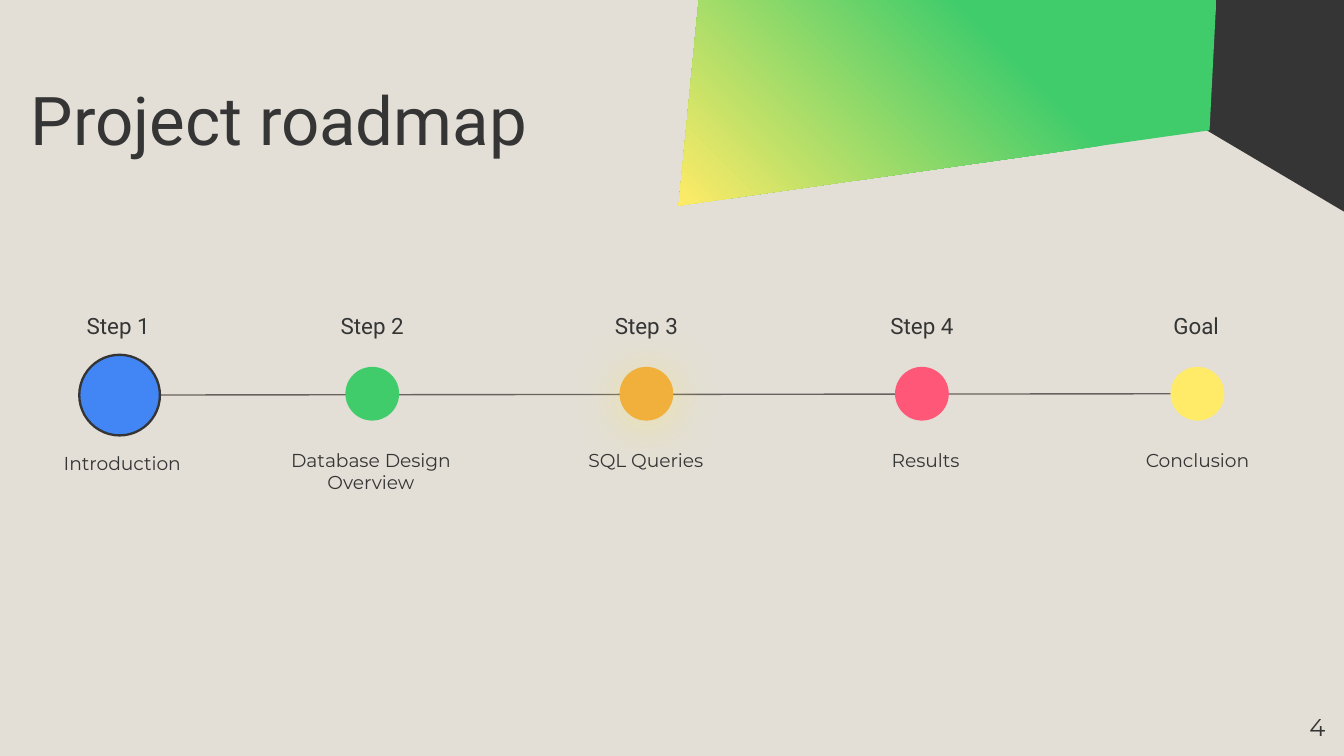
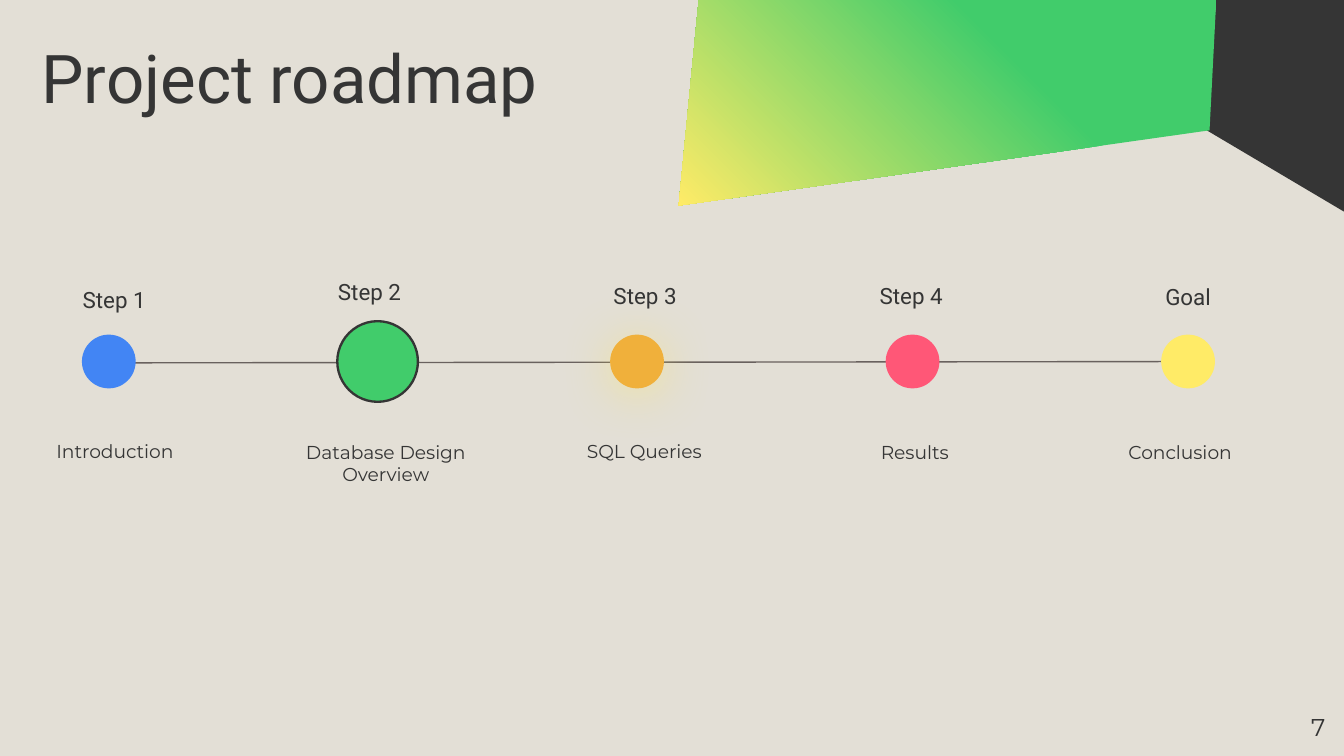
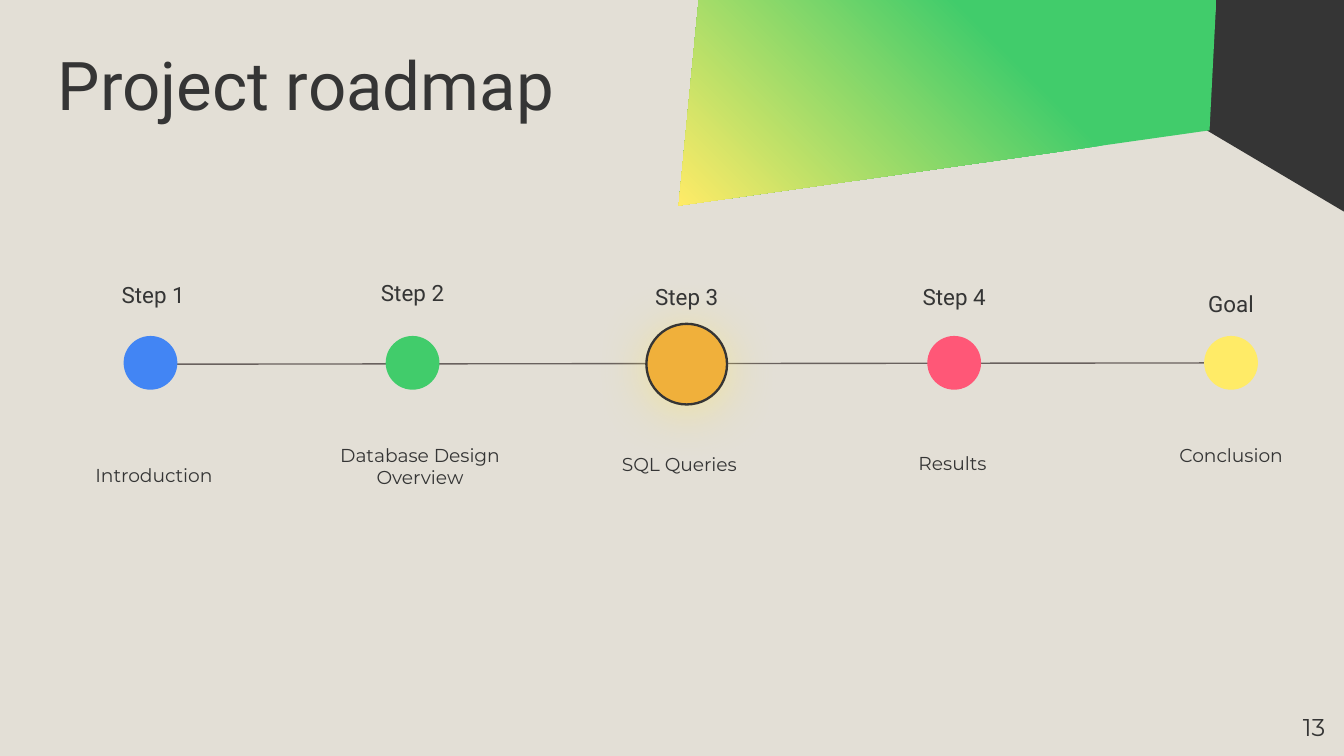
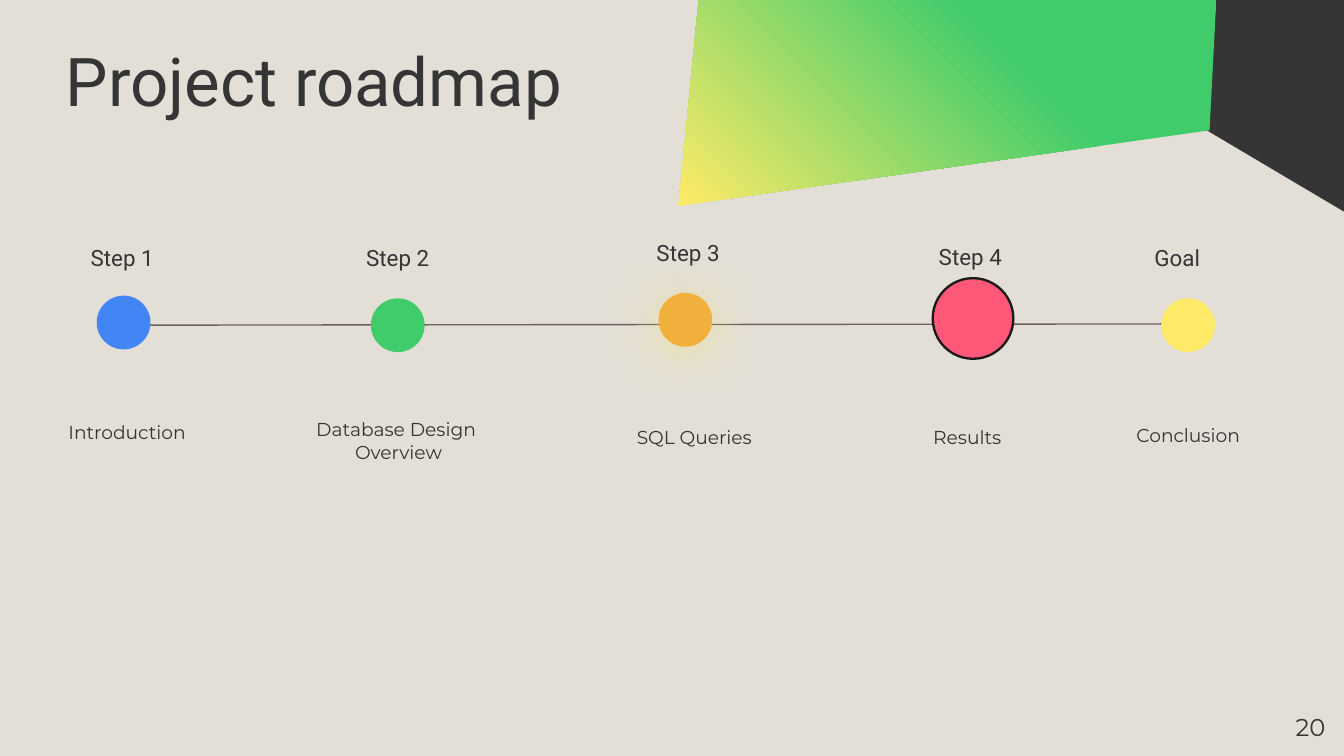
import copy
import dataclasses

import pptx
import pptx.dml.color
import pptx.enum.shapes
import pptx.enum.text
import pptx.oxml
import pptx.oxml.ns
import pptx.util

RGBColor = pptx.dml.color.RGBColor
ALIGN = pptx.enum.text.PP_ALIGN
ANCHOR = pptx.enum.text.MSO_ANCHOR
FIT = pptx.enum.text.MSO_AUTO_SIZE

SAND = RGBColor(0xE3, 0xDF, 0xD6)
CHARCOAL = RGBColor(0x35, 0x35, 0x35)
BLACK = RGBColor(0x1A, 0x1A, 0x1A)
TAUPE = RGBColor(0x69, 0x61, 0x5E)
BLUE = RGBColor(0x42, 0x85, 0xF4)
GREEN = RGBColor(0x41, 0xCC, 0x6B)
AMBER = RGBColor(0xF0, 0xB0, 0x3B)
PINK = RGBColor(0xFF, 0x57, 0x77)
YELLOW = RGBColor(0xFF, 0xEB, 0x67)

HEADING_FONT = "Roboto"
BODY_FONT = "Montserrat"

SLIDE_WIDTH = pptx.util.Inches(10)
SLIDE_HEIGHT = SLIDE_WIDTH * 9 // 16
COLUMNS = 100
CELL = SLIDE_WIDTH // COLUMNS
TENTH = CELL // 10
INSET = pptx.util.Inches(0.1)

DOT = 4
ACTIVE_DOT = 6
LABEL_SIZE = (9, 4)
TITLE_SIZE = (63.7, 7.5)
NUMBER_BOX = (93.6, 51.9, 6, 4.3)

STEPS = [
    ("Step 1", BLUE, 1.15),
    ("Step 2", GREEN, 1),
    ("Step 3", AMBER, 1),
    ("Step 4", PINK, 1),
    ("Goal", YELLOW, 1),
]
GLOWING = "Step 3"


@dataclasses.dataclass
class Roadmap:
    number: str
    title: tuple
    line: tuple
    active: str
    dots: list
    labels: list
    captions: list
    outline: RGBColor = CHARCOAL
    design: str = "Database Design Overview"

    def topics(self):
        return ["Introduction", self.design, "SQL Queries", "Results ", "Conclusion"]


ROADMAPS = [
    Roadmap(
        "4", (1.3, 5.5), (5.9, 29.4, 87.1, 29.3), "Step 1",
        [(5.9, 26.4), (25.7, 27.3), (46.1, 27.3), (66.6, 27.3), (87.1, 27.3)],
        [(4.3, 22.2), (23.2, 22.2), (43.6, 22.2), (64.1, 22.2), (84.5, 22.2)],
        [(1.6, 32.4, 15, 11.6), (20.1, 32.4, 15, 11.6), (39.4, 32.4, 17.3, 11.6),
         (60.9, 32.4, 16.3, 11.6), (80.1, 32.4, 18, 15.7)],
    ),
    Roadmap(
        "7", (2.1, 2.4), (8, 27, 90.4, 26.9), "Step 2",
        [(6.1, 24.9), (25.1, 23.9), (45.4, 24.9), (65.9, 24.9), (86.4, 24.9)],
        [(4, 20.3), (23, 19.7), (43.5, 20), (63.3, 20), (83.9, 20.1)],
        [(-0.9, 31.5, 18.9, 10.4), (21.2, 31.8, 15, 11.6), (39.3, 31.7, 17.3, 11.6),
         (60.1, 31.8, 16.3, 11.6), (78.8, 31.8, 18, 13.8)],
    ),
    Roadmap(
        "13", (3.3, 2.9), (11.2, 27.1, 93.6, 27), "Step 3",
        [(9.2, 25), (28.7, 25), (48.1, 24.1), (69, 25), (89.6, 25)],
        [(6.9, 19.9), (26.2, 19.8), (46.6, 20.1), (66.5, 20.1), (87.1, 20.6)],
        [(2, 33.3, 18.9, 10.4), (23.1, 32, 16.3, 7.6), (41.9, 32.7, 17.3, 11.6),
         (62.9, 32.6, 16.3, 11.6), (82.6, 32, 18, 13.8)],
    ),
    Roadmap(
        "20", (3.9, 2.6), (8, 24.2, 90.4, 24.1), "Step 4",
        [(7.2, 22), (27.6, 22.2), (49, 21.8), (69.4, 20.7), (86.4, 22.2)],
        [(4.6, 17.2), (25.1, 17.2), (46.7, 16.8), (67.7, 17.1), (83.1, 17.2)],
        [(0, 30.1, 18.9, 10.4), (21.5, 30.1, 16.3, 11.3), (44.4, 30.7, 14.5, 8.7),
         (64, 30.7, 16.3, 11.6), (79.4, 30.5, 18, 13.8)],
        BLACK,
        "Database Design \nOverview",
    ),
]


def grid(*cells):
    return [pptx.util.Emu(round(cell * CELL)) for cell in cells]


def write(frame, text, size, font=HEADING_FONT, align=ALIGN.CENTER,
          anchor=ANCHOR.MIDDLE, spacing=None, fit=FIT.NONE):
    frame.word_wrap = True
    frame.auto_size = fit
    frame.vertical_anchor = anchor
    frame.margin_left = frame.margin_right = INSET
    frame.margin_top = frame.margin_bottom = INSET
    for index, line in enumerate(text.split("\n")):
        para = frame.add_paragraph() if index else frame.paragraphs[0]
        para.alignment = align
        para.line_spacing = spacing
        span = para.add_run()
        span.text = line
        span.font.size = pptx.util.Pt(size)
        span.font.name = font
        span.font.color.rgb = CHARCOAL


def add_text(page, box, text, size, **style):
    write(page.shapes.add_textbox(*grid(*box)).text_frame, text, size, **style)


def add_polygon(page, layout, corners):
    builder = page.shapes.build_freeform(*corners[0], scale=TENTH)
    builder.add_line_segments(corners[1:], close=True)
    polygon = builder.convert_to_shape()
    polygon.shadow.inherit = False
    polygon.line.fill.background()
    layout.shapes.element.append(polygon.element)
    return polygon


def decorate_layout(page, layout):
    dark = add_polygon(page, layout, [(898, 97), (1001, 158), (1001, -1), (905, -1)])
    dark.fill.solid()
    dark.fill.fore_color.rgb = CHARCOAL

    bright = add_polygon(page, layout, [(520, -1), (505, 153), (900, 97), (905, 0)])
    bright.fill.gradient()
    bright.fill.gradient_angle = 225
    stops = bright.element.find(".//" + pptx.oxml.ns.qn("a:gsLst"))
    stops.append(copy.deepcopy(stops[0]))
    shades = [(GREEN, 0), (GREEN, 0.35), (YELLOW, 1)]
    for stop, (color, position) in zip(bright.fill.gradient_stops, shades):
        stop.color.rgb = color
        stop.position = position


def add_glow(dot):
    effects = dot.element.spPr.find(pptx.oxml.ns.qn("a:effectLst"))
    effects.append(pptx.oxml.parse_xml(
        f'<a:outerShdw {pptx.oxml.ns.nsdecls("a")} blurRad="{pptx.util.Pt(27)}" '
        f'dist="{pptx.util.Pt(3)}" dir="5400000" algn="bl" rotWithShape="0">'
        f'<a:srgbClr val="{YELLOW}"><a:alpha val="50000"/></a:srgbClr></a:outerShdw>'
    ))


def add_line(page, ends):
    line = page.shapes.add_connector(
        pptx.enum.shapes.MSO_CONNECTOR.STRAIGHT, *grid(*ends))
    line.line.color.rgb = TAUPE
    line.line.width = pptx.util.Pt(0.75)
    line.element.spPr.append(
        pptx.oxml.parse_xml(f'<a:effectLst {pptx.oxml.ns.nsdecls("a")}/>'))


def add_dot(page, corner, color, outline):
    side = ACTIVE_DOT if outline else DOT
    dot = page.shapes.add_shape(
        pptx.enum.shapes.MSO_SHAPE.OVAL, *grid(*corner, side, side))
    dot.shadow.inherit = False
    dot.fill.solid()
    dot.fill.fore_color.rgb = color
    if outline:
        dot.line.color.rgb = outline
        dot.line.width = pptx.util.Pt(1.25)
    else:
        dot.line.fill.background()
    return dot


def add_timeline(page, roadmap):
    add_line(page, roadmap.line)
    places = zip(STEPS, roadmap.topics(), roadmap.dots, roadmap.labels, roadmap.captions)
    for (label, color, spacing), topic, dot_corner, label_corner, caption_box in places:
        outline = roadmap.outline if label == roadmap.active else None
        dot = add_dot(page, dot_corner, color, outline)
        if label == GLOWING:
            add_glow(dot)
        add_text(page, label_corner + LABEL_SIZE, label, 12)
        add_text(page, caption_box, topic, 10, font=BODY_FONT,
                 anchor=ANCHOR.TOP, spacing=spacing)


def add_title(page, corner):
    title = page.shapes.title
    title.left, title.top, title.width, title.height = grid(*corner, *TITLE_SIZE)
    write(title.text_frame, "Project roadmap", 36, align=ALIGN.LEFT,
          anchor=ANCHOR.TOP, spacing=0.9, fit=FIT.SHAPE_TO_FIT_TEXT)


def add_roadmap_slide(deck, layout, roadmap):
    page = deck.slides.add_slide(layout)
    add_title(page, roadmap.title)
    add_timeline(page, roadmap)
    add_text(page, NUMBER_BOX, roadmap.number, 13, font=BODY_FONT, align=ALIGN.RIGHT)
    return page


def main():
    deck = pptx.Presentation()
    deck.slide_width = SLIDE_WIDTH
    deck.slide_height = SLIDE_HEIGHT
    background = deck.slide_master.background.fill
    background.solid()
    background.fore_color.rgb = SAND
    layout = deck.slide_layouts.get_by_name("Title Only")
    pages = [add_roadmap_slide(deck, layout, roadmap) for roadmap in ROADMAPS]
    decorate_layout(pages[0], layout)
    deck.save("out.pptx")


if __name__ == "__main__":
    main()
